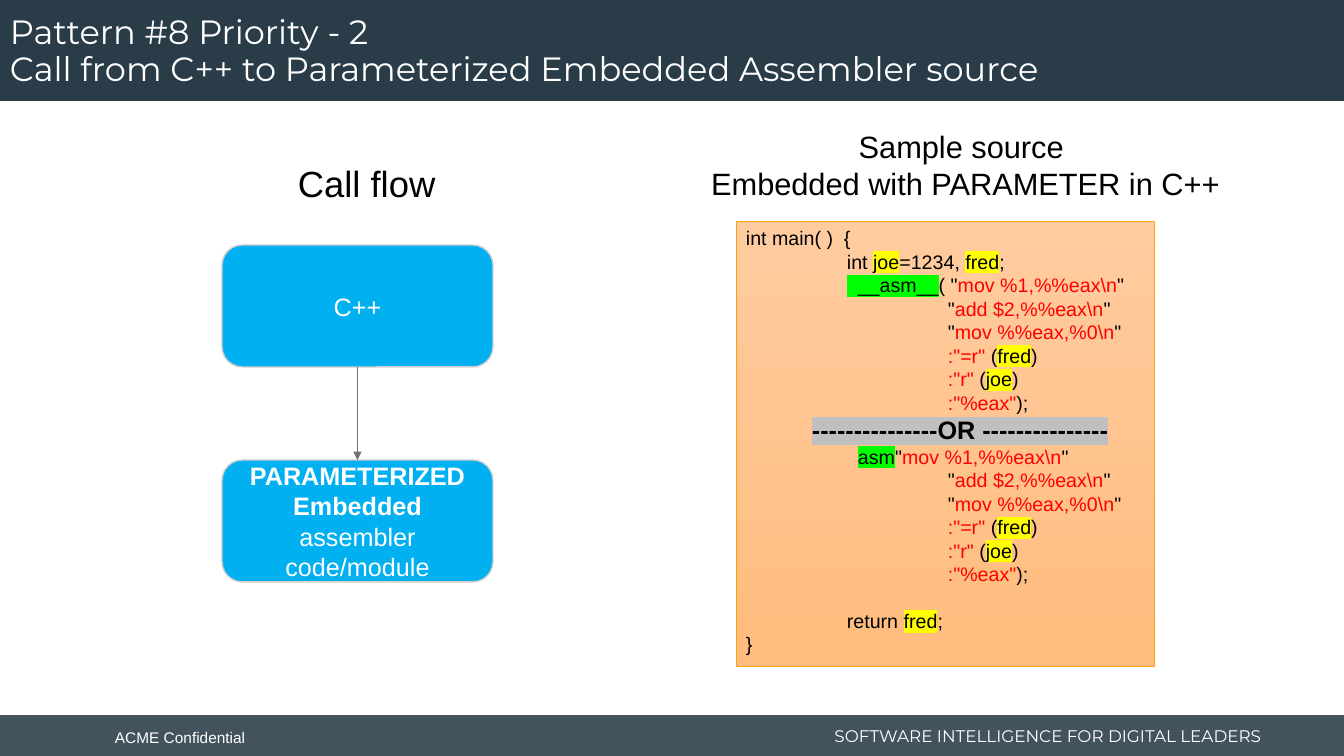
from lxml import etree
from pptx import Presentation
from pptx.dml.color import RGBColor
from pptx.enum.shapes import MSO_CONNECTOR, MSO_SHAPE
from pptx.enum.text import MSO_ANCHOR, PP_ALIGN
from pptx.oxml.ns import qn
from pptx.util import Emu, Pt

RECT = MSO_SHAPE.RECTANGLE
ROUNDED = MSO_SHAPE.ROUNDED_RECTANGLE
STRAIGHT = MSO_CONNECTOR.STRAIGHT
CENTER = PP_ALIGN.CENTER
LEFT = PP_ALIGN.LEFT
TOP = MSO_ANCHOR.TOP
MIDDLE = MSO_ANCHOR.MIDDLE

EMU_PER_PX = 914400 / 100.8
TAB = 101
CODE_LINE = 23

PLAIN = {"color": "000000"}
STRING = {"color": "FF0000"}
VARIABLE = {"color": "000000", "highlight": "FFFF00"}
KEYWORD = {"color": "000000", "highlight": "00FF00"}
DIVIDER = {"color": "000000", "highlight": "C0C0C0", "size": Pt(18), "bold": True}
WHITE = {"color": "FFFFFF"}
WHITE_BOLD = {"color": "FFFFFF", "bold": True}


def px(length):
    return Emu(round(length * EMU_PER_PX))


def rgb(value):
    return RGBColor.from_string(value)


def set_attributes(target, values):
    for name, value in values.items():
        setattr(target, name, value)


def add_run(paragraph, text, style, size, font_name):
    run = paragraph.add_run()
    run.text = text
    values = {"name": font_name, "size": Pt(size), "bold": False, **style}
    color = values.pop("color")
    highlight = values.pop("highlight", None)
    set_attributes(run.font, values)
    run.font.color.rgb = rgb(color)
    if highlight:
        mark = etree.Element(qn("a:highlight"))
        etree.SubElement(mark, qn("a:srgbClr")).set("val", highlight)
        run.font._element.find(qn("a:solidFill")).addnext(mark)


def write(shape, lines, size, font_name="Arial", align=LEFT, anchor=TOP,
          wrap=True, spacing=None):
    frame = shape.text_frame
    set_attributes(frame, {"word_wrap": wrap, "vertical_anchor": anchor})
    for number, (indent, before, runs) in enumerate(lines):
        paragraph = frame.add_paragraph() if number else frame.paragraphs[0]
        set_attributes(paragraph, {"alignment": align, "line_spacing": spacing,
                                   "space_before": px(before)})
        if indent:
            paragraph._p.get_or_add_pPr().set("marL", str(px(indent)))
        for text, style in runs:
            for part, piece in enumerate(text.split("\n")):
                if part:
                    paragraph.add_line_break()
                add_run(paragraph, piece, style, size, font_name)


def add_label(slide, box, text, style, size, **options):
    label = slide.shapes.add_textbox(*map(px, box))
    lines = text if isinstance(text, list) else [(0, 0, [(text, style)])]
    write(label, lines, size, **options)


def add_box(slide, kind, box, fill, outline=None, width=1):
    shape = slide.shapes.add_shape(kind, *map(px, box))
    shape.shadow.inherit = False
    if isinstance(fill, tuple):
        shape.fill.gradient()
        shape.fill.gradient_angle = 270
        for stop, color in zip(shape.fill.gradient_stops, fill):
            stop.color.rgb = rgb(color)
    else:
        shape.fill.solid()
        shape.fill.fore_color.rgb = rgb(fill)
    if outline:
        shape.line.color.rgb = rgb(outline)
        shape.line.width = Pt(width)
    else:
        shape.line.fill.background()
    return shape


def set_opacity(shape, percent):
    color = shape._element.spPr.find(qn("a:solidFill"))[0]
    etree.SubElement(color, qn("a:alpha")).set("val", str(percent * 1000))


def add_call_arrow(slide, caller, callee):
    arrow = slide.shapes.add_connector(STRAIGHT, 0, 0, 0, 0)
    arrow.begin_connect(caller, 2)
    arrow.end_connect(callee, 0)
    arrow.line.color.rgb = rgb("767171")
    arrow.line.width = Pt(0.5)
    etree.SubElement(arrow.line._get_or_add_ln(), qn("a:tailEnd")).set("type", "triangle")
    etree.SubElement(arrow._element.spPr, qn("a:effectLst"))


def assembler_lines():
    instructions = [
        (2 * TAB, 0, [('"', PLAIN), (code, STRING), ('"', PLAIN)])
        for code in ("add $2,%%eax\\n", "mov %%eax,%0\\n")
    ]
    return instructions + [
        (2 * TAB, 0, [(':"=r" ', STRING), ("(", PLAIN), ("fred", VARIABLE), (")", PLAIN)]),
        (2 * TAB, 0, [(':"r"', STRING), (" (", PLAIN), ("joe", VARIABLE), (")", PLAIN)]),
        (2 * TAB, 0, [(':"%eax"', STRING), (");", PLAIN)]),
    ]


def source_lines():
    first_move = [("mov %1,%%eax\\n", STRING), ('"', PLAIN)]
    return [
        (0, 0, [("int main( )  {", PLAIN)]),
        (TAB, 0, [("int ", PLAIN), ("joe", VARIABLE), ("=1234, ", PLAIN),
                  ("fred", VARIABLE), (";", PLAIN)]),
        (TAB, 0, [("  __asm__", KEYWORD), ('( "', PLAIN), *first_move]),
        *assembler_lines(),
        (66, 0, [("---------------OR ---------------", DIVIDER)]),
        (TAB + 11, 0, [("asm", KEYWORD), ('"', PLAIN), *first_move]),
        *assembler_lines(),
        (TAB, CODE_LINE, [("return ", PLAIN), ("fred", VARIABLE), (";", PLAIN)]),
        (0, 0, [("}", PLAIN)]),
    ]


def add_banners(slide):
    set_opacity(add_box(slide, RECT, (0, 715, 1344, 44), "293C47"), 88)
    add_box(slide, RECT, (0, 0, 1344, 101), "293C47")
    add_label(slide, (105, 723, 180, 29), "ACME Confidential", WHITE, 11)
    add_label(slide, (817, 721, 462, 32), "SOFTWARE INTELLIGENCE FOR DIGITAL LEADERS",
              WHITE, 12, font_name="Montserrat", align=CENTER)
    add_label(slide, (0, 14, 1089, 76),
              "Pattern #8 Priority - 2\nCall from C++ to Parameterized Embedded Assembler source",
              WHITE, 24, font_name="Montserrat", anchor=MIDDLE, spacing=0.9)


def add_call_flow(slide):
    add_label(slide, (288, 156, 159, 54), "Call flow", PLAIN, 26, wrap=False)
    steps = [
        [("C++", WHITE)],
        [("PARAMETERIZED Embedded", WHITE_BOLD), (" assembler code/module", WHITE)],
    ]
    boxes = []
    for row, runs in enumerate(steps):
        step = add_box(slide, ROUNDED, (222, 245 + 215 * row, 271, 122), "00B0F0", "D0CECE")
        write(step, [(0, 0, runs)], 18, align=CENTER, anchor=MIDDLE)
        boxes.append(step)
    add_call_arrow(slide, *boxes)


def add_sample_source(slide):
    heading = [(0, 0, [(text, PLAIN)])
               for text in ("Sample source ", "Embedded with PARAMETER in C++")]
    add_label(slide, (698, 123, 535, 85), heading, PLAIN, 22, align=CENTER, wrap=False)
    listing = add_box(slide, RECT, (736, 221, 418, 445), ("FFCCA0", "FFBC7D"), "FDA110", 0.5)
    write(listing, source_lines(), 14)


def main():
    deck = Presentation()
    deck.slide_width, deck.slide_height = px(1344), px(756)
    slide = deck.slides.add_slide(deck.slide_layouts[6])
    add_banners(slide)
    add_call_flow(slide)
    add_sample_source(slide)
    deck.save("out.pptx")


if __name__ == "__main__":
    main()
